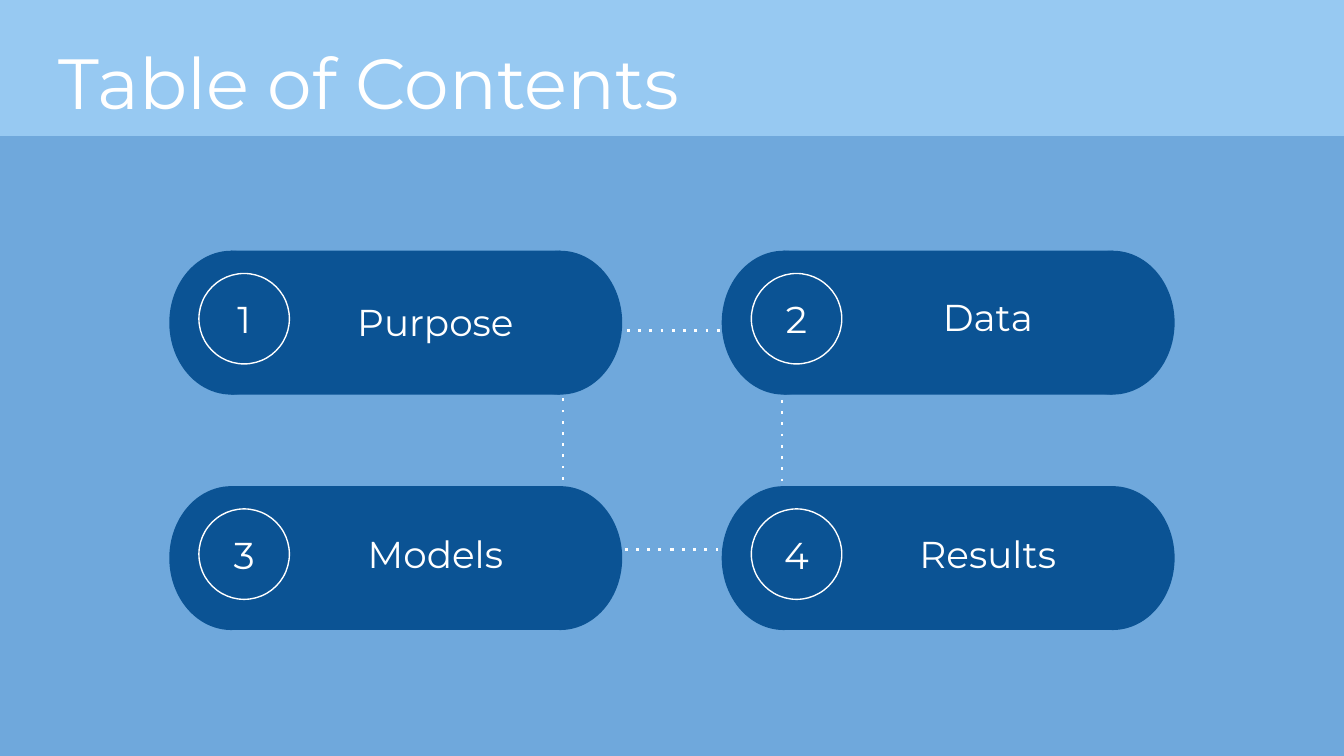
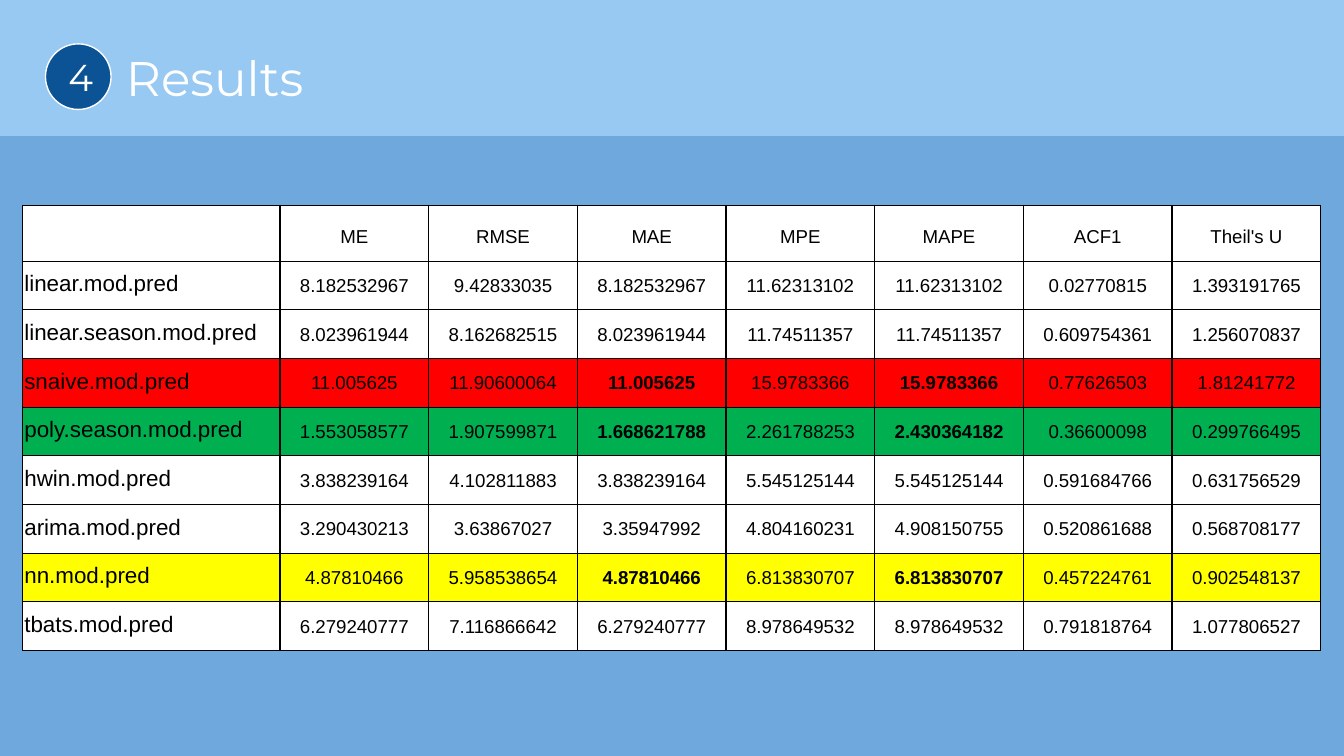
from lxml.etree import SubElement
from pptx import Presentation
from pptx.dml.color import RGBColor
from pptx.enum.dml import MSO_LINE
from pptx.enum.shapes import MSO_SHAPE as SHAPE
from pptx.enum.text import MSO_ANCHOR as ANCHOR, MSO_AUTO_SIZE as AUTO, PP_ALIGN as ALIGN
from pptx.oxml.ns import qn
from pptx.util import Cm, Pt

WIDTH, HEIGHT = 25.4, 14.29
SKY, BAND, NAVY = "6FA8DC", "97C9F2", "0B5394"
WHITE, BLACK = "FFFFFF", "000000"
HEAD_FONT, TABLE_FONT = "Montserrat", "Arial"

# Contents: number, heading, distance of the heading from the pill's top
CONTENTS = [("1", "Purpose", 0.66), ("2", "Data", 0.58),
            ("3", "Models", 0.61), ("4", "Results", 0.61)]

# Results: accuracy measures of each model
MEASURES = ["", "ME", "RMSE", "MAE", "MPE", "MAPE", "ACF1", "Theil's U"]
MODELS = [
    ["linear.mod.pred", "8.182532967", "9.42833035", "8.182532967",
     "11.62313102", "11.62313102", "0.02770815", "1.393191765"],
    ["linear.season.mod.pred", "8.023961944", "8.162682515", "8.023961944",
     "11.74511357", "11.74511357", "0.609754361", "1.256070837"],
    ["snaive.mod.pred", "11.005625", "11.90600064", "11.005625",
     "15.9783366", "15.9783366", "0.77626503", "1.81241772"],
    ["poly.season.mod.pred", "1.553058577", "1.907599871", "1.668621788",
     "2.261788253", "2.430364182", "0.36600098", "0.299766495"],
    ["hwin.mod.pred", "3.838239164", "4.102811883", "3.838239164",
     "5.545125144", "5.545125144", "0.591684766", "0.631756529"],
    ["arima.mod.pred", "3.290430213", "3.63867027", "3.35947992",
     "4.804160231", "4.908150755", "0.520861688", "0.568708177"],
    ["nn.mod.pred", "4.87810466", "5.958538654", "4.87810466",
     "6.813830707", "6.813830707", "0.457224761", "0.902548137"],
    ["tbats.mod.pred", "6.279240777", "7.116866642", "6.279240777",
     "8.978649532", "8.978649532", "0.791818764", "1.077806527"],
]
HIGHLIGHTS = {"snaive.mod.pred": "FF0000", "poly.season.mod.pred": "00B050",
              "nn.mod.pred": "FFFF00"}
KEY_MEASURES = ("MAE", "MAPE")


def rgb(color):
    return RGBColor.from_string(color)


def box(*lengths):
    return [Cm(n) for n in lengths]


def write(tf, text, size, color=WHITE, font=HEAD_FONT, align=ALIGN.CENTER, bold=False):
    p = tf.paragraphs[0]
    p.text = text
    p.alignment = align
    p.font.size = Pt(size)
    p.font.name = font
    p.font.bold = bold
    p.font.color.rgb = rgb(color)
    return p


def set_frame(tf, anchor=ANCHOR.TOP, auto_size=AUTO.NONE):
    tf.margin_left = tf.margin_right = tf.margin_top = tf.margin_bottom = Cm(0.25)
    tf.word_wrap = True
    tf.vertical_anchor = anchor
    tf.auto_size = auto_size


def add_shape(shapes, kind, at, fill=None, line=None, width=0.75):
    sp = shapes.add_shape(kind, *box(*at))
    sp.shadow.inherit = False
    if fill:
        sp.fill.solid()
        sp.fill.fore_color.rgb = rgb(fill)
    else:
        sp.fill.background()
    if line:
        sp.line.color.rgb = rgb(line)
        sp.line.width = Pt(width)
    else:
        sp.line.fill.background()
    return sp


def add_slide(prs, title, size, top, indent=0):
    """Slide with the header band and its title."""
    slide = prs.slides.add_slide(prs.slide_layouts[5])
    add_shape(slide.shapes, SHAPE.RECTANGLE, (0, 0, WIDTH, 2.57), BAND)
    sp = slide.shapes.title
    sp.left, sp.top, sp.width, sp.height = box(0.86, top, 23.67, 1.6)
    set_frame(sp.text_frame)
    p = write(sp.text_frame, title, size, align=ALIGN.LEFT)
    if indent:
        p._p.get_or_add_pPr().set("indent", str(Cm(indent)))
    # The title lies above the band
    sp.element.getparent().append(sp.element)
    return slide


def add_number(slide, number, left, top, size):
    sp = add_shape(slide.shapes, SHAPE.OVAL, (left, top, size, size), NAVY, WHITE)
    set_frame(sp.text_frame, ANCHOR.MIDDLE)
    write(sp.text_frame, number, 20)


def add_pill(slide, left, top):
    shapes = slide.shapes.add_group_shape().shapes
    add_shape(shapes, SHAPE.OVAL, (left, top, 2.34, 2.72), NAVY)
    add_shape(shapes, SHAPE.RECTANGLE, (left + 1.17, top, 6.22, 2.72), NAVY)
    add_shape(shapes, SHAPE.OVAL, (left + 6.22, top, 2.34, 2.72), NAVY)


def add_heading(slide, text, left, top):
    tf = slide.shapes.add_textbox(*box(left, top, 5.28, 1.37)).text_frame
    set_frame(tf, auto_size=AUTO.SHAPE_TO_FIT_TEXT)
    write(tf, text, 20)


def add_dotted_square(slide, left, top, size):
    sp = add_shape(slide.shapes, SHAPE.RECTANGLE, (left, top, size, size),
                   line=WHITE, width=1.5)
    sp.line.dash_style = MSO_LINE.ROUND_DOT
    next(sp.element.iter(qn("a:prstDash"))).set("val", "dot")


def add_borders(tc, color, width):
    tcPr = tc.get_or_add_tcPr()
    for i, side in enumerate(("a:lnL", "a:lnR", "a:lnT", "a:lnB")):
        ln = SubElement(tcPr, qn(side), w=str(Pt(width)))
        fill = SubElement(ln, qn("a:solidFill"))
        SubElement(fill, qn("a:srgbClr"), val=color)
        tcPr.insert(i, ln)


def fill_cell(cell, text, fill, is_name, bold):
    cell.fill.solid()
    cell.fill.fore_color.rgb = rgb(fill)
    cell.margin_left = cell.margin_right = cell.margin_top = Cm(0.03)
    cell.margin_bottom = Cm(0.25)
    cell.vertical_anchor = ANCHOR.BOTTOM
    if not text:
        return
    size, align = (12, ALIGN.LEFT) if is_name else (10, ALIGN.CENTER)
    p = write(cell.text_frame, text, size, BLACK, TABLE_FONT, align, bold)
    if not is_name:
        p.line_spacing = 1.15


def add_results_table(slide):
    rows = [MEASURES] + MODELS
    widths = [4.86] + [2.81] * (len(MEASURES) - 1)
    heights = [1.03] + [0.92] * len(MODELS)
    frame = slide.shapes.add_table(len(rows), len(widths),
                                   *box(0.43, 3.88, sum(widths), sum(heights)))
    table = frame.table
    table.first_row = table.horz_banding = False
    for column, width in zip(table.columns, widths):
        column.width = Cm(width)
    for i, (values, height) in enumerate(zip(rows, heights)):
        table.rows[i].height = Cm(height)
        name = values[0]
        for j, (measure, text) in enumerate(zip(MEASURES, values)):
            bold = name in HIGHLIGHTS and measure in KEY_MEASURES
            fill_cell(table.cell(i, j), text, HIGHLIGHTS.get(name, WHITE), j == 0, bold)
    for tc in frame.element.iter(qn("a:tc")):
        add_borders(tc, BLACK, 0.75)


def build_contents(prs):
    slide = add_slide(prs, "Table of Contents", 38, 0.48)
    add_dotted_square(slide, 10.64, 6.25, 4.14)
    for i, (number, heading, offset) in enumerate(CONTENTS):
        row, col = divmod(i, 2)
        left, top = 3.2 + 10.44 * col, 4.74 + 4.45 * row
        add_pill(slide, left, top)
        add_heading(slide, heading, left + 2.39, top + offset)
        add_number(slide, number, left + 0.56, top + 0.43, 1.71)


def build_results(prs):
    slide = add_slide(prs, "Results", 26, 0.66, indent=1.27)
    add_number(slide, "4", 0.86, 0.83, 1.24)
    add_results_table(slide)


def main():
    prs = Presentation()
    prs.slide_width, prs.slide_height = box(WIDTH, HEIGHT)
    background = prs.slide_master.background.fill
    background.solid()
    background.fore_color.rgb = rgb(SKY)
    build_contents(prs)
    build_results(prs)
    prs.save("out.pptx")


if __name__ == "__main__":
    main()
